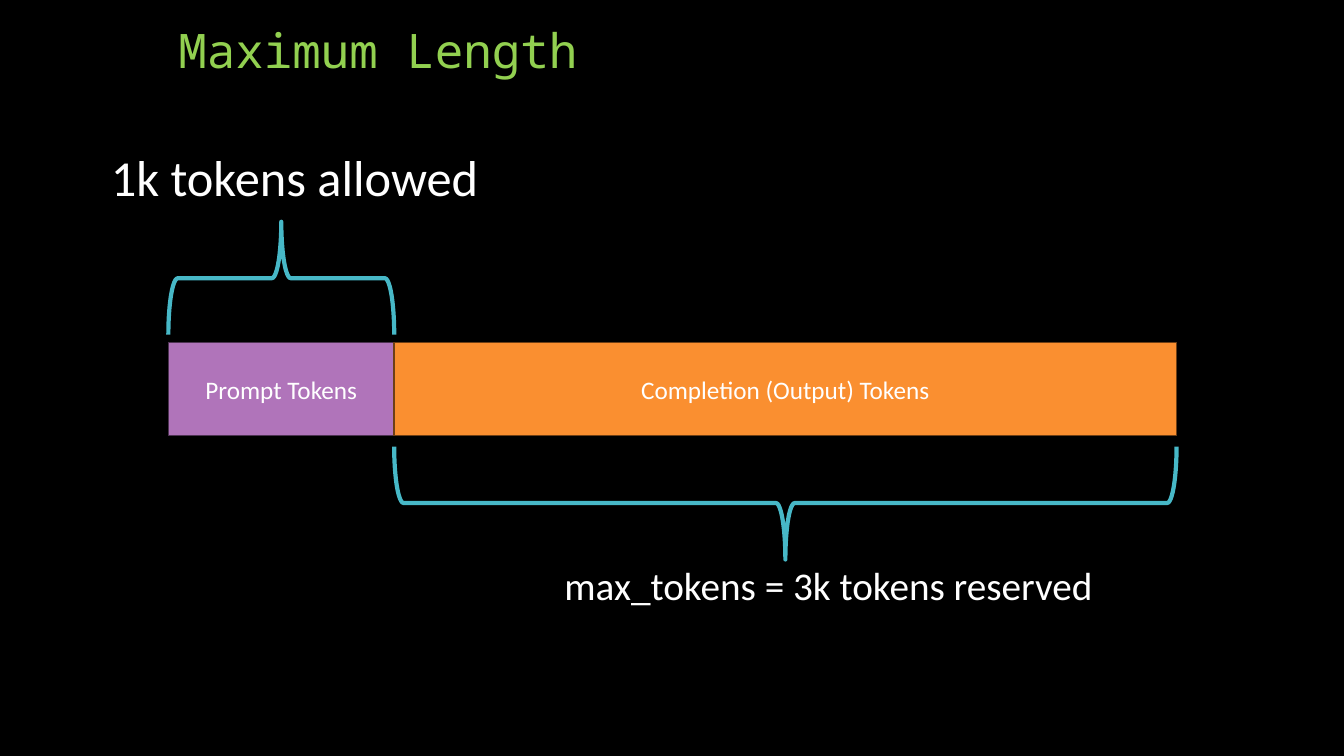
import pptx
import pptx.dml.color
import pptx.enum.shapes
import pptx.enum.text
import pptx.util

Inches = pptx.util.Inches
ANCHOR = pptx.enum.text.MSO_ANCHOR
ALIGN = pptx.enum.text.PP_ALIGN
SHAPE = pptx.enum.shapes.MSO_SHAPE

COLORS = {
    "background": "000000", "title": "92D050", "text": "FFFFFF", "brace": "47B8C7",
    "prompt": "B074BA", "prompt_edge": "4D3352",
    "completion": "FA8F30", "completion_edge": "6E3F15",
}
BAR_LEFT, BAR_TOP, BAR_HEIGHT = 1.67, 3.4, 0.92
BRACE_DEPTH = 1.12

# label, width, colour name, brace top, brace rotation
SEGMENTS = [
    ("Prompt Tokens", 2.24, "prompt", 2.2, 90),
    ("Completion (Output) Tokens", 7.76, "completion", 4.43, 270),
]
# text, (left, top, width, height), wrap, anchor, line spacing, colour name, font
TEXTS = [
    ("Maximum Length", (1.67, 0.08, 10, 0.75), True, ANCHOR.BOTTOM, 0.9,
     "title", {"size": pptx.util.Pt(34), "name": "Noto Sans Mono"}),
    ("max_tokens = 3k tokens reserved", (5.5, 5.52, 5.71, 0.57), True, ANCHOR.TOP, 1.0,
     "text", {"size": pptx.util.Pt(28), "name": "Calibri"}),
    ("1k tokens allowed", (1, 1.4, 3.98, 0.71), False, ANCHOR.TOP, 1.0,
     "text", {"size": pptx.util.Pt(36), "name": "Calibri"}),
]
LABEL_FONT = {"size": pptx.util.Pt(18), "name": "Calibri"}


def rgb(name):
    return pptx.dml.color.RGBColor.from_string(COLORS[name])


def write(shape, text, color, font):
    para = shape.text_frame.paragraphs[0]
    span = para.add_run()
    span.text = text
    for key, value in font.items():
        setattr(span.font, key, value)
    span.font.color.rgb = rgb(color)
    return para


def add_outlined(slide, kind, place, line_color, line_width):
    shape = slide.shapes.add_shape(kind, *map(Inches, place))
    shape.shadow.inherit = False
    shape.line.color.rgb = rgb(line_color)
    shape.line.width = pptx.util.Pt(line_width)
    return shape


def add_segment(slide, left, width, label, color):
    place = (left, BAR_TOP, width, BAR_HEIGHT)
    bar = add_outlined(slide, SHAPE.RECTANGLE, place, color + "_edge", 1)
    bar.fill.solid()
    bar.fill.fore_color.rgb = rgb(color)
    bar.text_frame.vertical_anchor = ANCHOR.MIDDLE
    write(bar, label, "text", LABEL_FONT).alignment = ALIGN.CENTER


def add_brace(slide, left, width, top, rotation):
    """Lay a left brace on its side, spanning width from left."""
    place = (left + (width - BRACE_DEPTH) / 2, top + (BRACE_DEPTH - width) / 2,
             BRACE_DEPTH, width)
    brace = add_outlined(slide, SHAPE.LEFT_BRACE, place, "brace", 3)
    brace.fill.background()
    brace.rotation = rotation


def main():
    deck = pptx.Presentation()
    deck.slide_width, deck.slide_height = Inches(13.33), Inches(7.5)
    slide = deck.slides.add_slide(deck.slide_layouts[6])
    slide.background.fill.solid()
    slide.background.fill.fore_color.rgb = rgb("background")

    left = BAR_LEFT
    for label, width, color, brace_top, rotation in SEGMENTS:
        add_segment(slide, left, width, label, color)
        add_brace(slide, left, width, brace_top, rotation)
        left += width

    for text, place, wrap, anchor, spacing, color, font in TEXTS:
        box = slide.shapes.add_textbox(*map(Inches, place))
        box.text_frame.word_wrap = wrap
        box.text_frame.vertical_anchor = anchor
        write(box, text, color, font).line_spacing = spacing

    deck.save("out.pptx")


if __name__ == "__main__":
    main()
